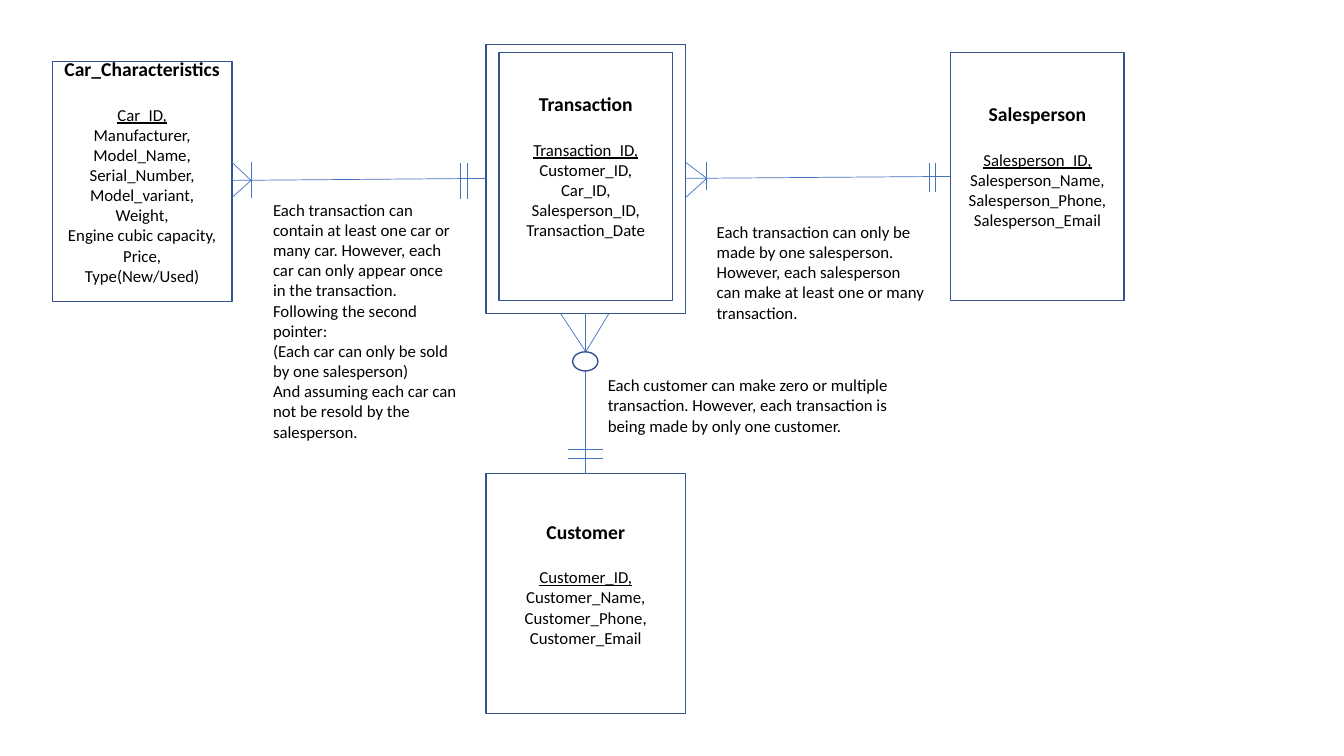
from lxml import etree
from pptx import Presentation
from pptx.dml.color import RGBColor
from pptx.enum.shapes import MSO_CONNECTOR, MSO_SHAPE
from pptx.enum.text import MSO_ANCHOR, PP_ALIGN
from pptx.oxml.ns import qn
from pptx.util import Inches, Pt

STRAIGHT = MSO_CONNECTOR.STRAIGHT
RECT, OVAL = MSO_SHAPE.RECTANGLE, MSO_SHAPE.OVAL
MIDDLE, CENTER = MSO_ANCHOR.MIDDLE, PP_ALIGN.CENTER
FONT, BLACK, BORDER, LINK = "Calibri", "000000", "325491", "4472C4"

ENTITIES = [
    ("Car_Characteristics", (0.52, 0.61, 1.78, 2.38),
     ["Car_ID,", "Manufacturer,", "Model_Name,", "Serial_Number,", "Model_variant,",
      "Weight,", "Engine cubic capacity,", "Price,", "Type(New/Used)"]),
    ("Customer", (4.82, 4.7, 1.98, 2.38),
     ["Customer_ID,", "Customer_Name,", "Customer_Phone,", "Customer_Email"]),
    ("Salesperson", (9.43, 0.52, 1.72, 2.46),
     ["Salesperson_ID,", "Salesperson_Name,", "Salesperson_Phone,", "Salesperson_Email"]),
    ("Transaction", (4.95, 0.52, 1.72, 2.46),
     ["Transaction_ID,", "Customer_ID,", "Car_ID,", "Salesperson_ID,", "Transaction_Date"]),
]
TRANSACTION_FRAME = (4.82, 0.44, 1.98, 2.67)
NOTES = [
    ((5.93, 3.67, 2.98, 0.91),
     ["Each customer can make zero or multiple transaction. However, each transaction "
      "is being made by only one customer."]),
    ((2.61, 1.93, 2.04, 2.52),
     ["Each transaction can contain at least one car or many car. However, each car can "
      "only appear once in the transaction.",
      "Following the second pointer:",
      "(Each car can only be sold by one salesperson)",
      "And assuming each car can not be resold by the salesperson."]),
    ((7.01, 2.15, 2.27, 1.11),
     ["Each transaction can only be made by one salesperson. However, each salesperson "
      "can make at least one or many transaction."]),
]


def color(value):
    return RGBColor.from_string(value)


def add_run(p, text, size=12, bold=False, underline=False):
    r = p.add_run()
    r.text = text
    r.font.name, r.font.size = FONT, Pt(size)
    r.font.bold, r.font.underline = bold, underline
    r.font.color.rgb = color(BLACK)


def add_outline(s, kind, box):
    sp = s.shapes.add_shape(kind, *map(Inches, box))
    sp.shadow.inherit = False
    sp.fill.background()
    sp.line.color.rgb = color(BORDER)
    sp.line.width = Pt(1)
    return sp


def add_line(s, x1, y1, x2, y2):
    line = s.shapes.add_connector(STRAIGHT, *map(Inches, (x1, y1, x2, y2)))
    line.line.color.rgb = color(LINK)
    line.line.width = Pt(0.5)
    etree.SubElement(line._element.spPr, qn("a:effectLst"))


def add_entity(s, name, box, fields):
    """Box with a bold name, an underlined key and the other fields."""
    tf = add_outline(s, RECT, box).text_frame
    tf.word_wrap = True
    tf.vertical_anchor = MIDDLE
    tf.margin_bottom = Inches(0.25)
    title = tf.paragraphs[0]
    title.alignment = CENTER
    title.space_after = Pt(17)
    add_run(title, name, 14, bold=True)
    for i, field in enumerate(fields):
        p = tf.add_paragraph()
        p.alignment = CENTER
        add_run(p, field, underline=i == 0)


def add_note(s, box, paragraphs):
    tf = s.shapes.add_textbox(*map(Inches, box)).text_frame
    tf.word_wrap = True
    for i, text in enumerate(paragraphs):
        p = tf.add_paragraph() if i else tf.paragraphs[0]
        add_run(p, text)


def add_side_link(s, start, end, foot, bar, one_bars):
    """Link from a one-or-many foot at start to a double bar near end."""
    (x1, y1), (x2, y2) = start, end
    apex = x1 + foot
    add_line(s, x1, y1, x2, y2)
    for y in (1.61, 1.96):
        add_line(s, x1, y, apex, y1)
    add_line(s, apex, 1.61, apex, 1.61 + bar)
    for x in one_bars:
        add_line(s, x, 1.62, x, 1.62 + bar)


def add_down_link(s, x, top, bottom):
    """Link from a zero-or-many foot at the top to a double bar at the bottom."""
    apex, ring = top + 0.38, 0.19
    for foot_x in (x - 0.25, x, x + 0.23):
        add_line(s, x, apex, foot_x, top)
    add_outline(s, OVAL, (x - 0.13, apex, 0.25, ring))
    add_line(s, x, apex + ring, x, bottom)
    for y in (bottom - 0.24, bottom - 0.15):
        add_line(s, x - 0.18, y, x + 0.17, y)


def main():
    prs = Presentation()
    prs.slide_width, prs.slide_height = Inches(13.33), Inches(7.5)
    s = prs.slides.add_slide(prs.slide_layouts[6])
    for name, box, fields in ENTITIES:
        add_entity(s, name, box, fields)
    add_outline(s, RECT, TRANSACTION_FRAME)
    add_side_link(s, (2.3, 1.79), (4.82, 1.77), 0.19, 0.35, (4.57, 4.64))
    add_side_link(s, (6.8, 1.77), (9.43, 1.75), 0.21, 0.28, (9.22, 9.28))
    add_down_link(s, 5.81, 3.11, 4.7)
    for box, paragraphs in NOTES:
        add_note(s, box, paragraphs)
    prs.save("out.pptx")


if __name__ == "__main__":
    main()
